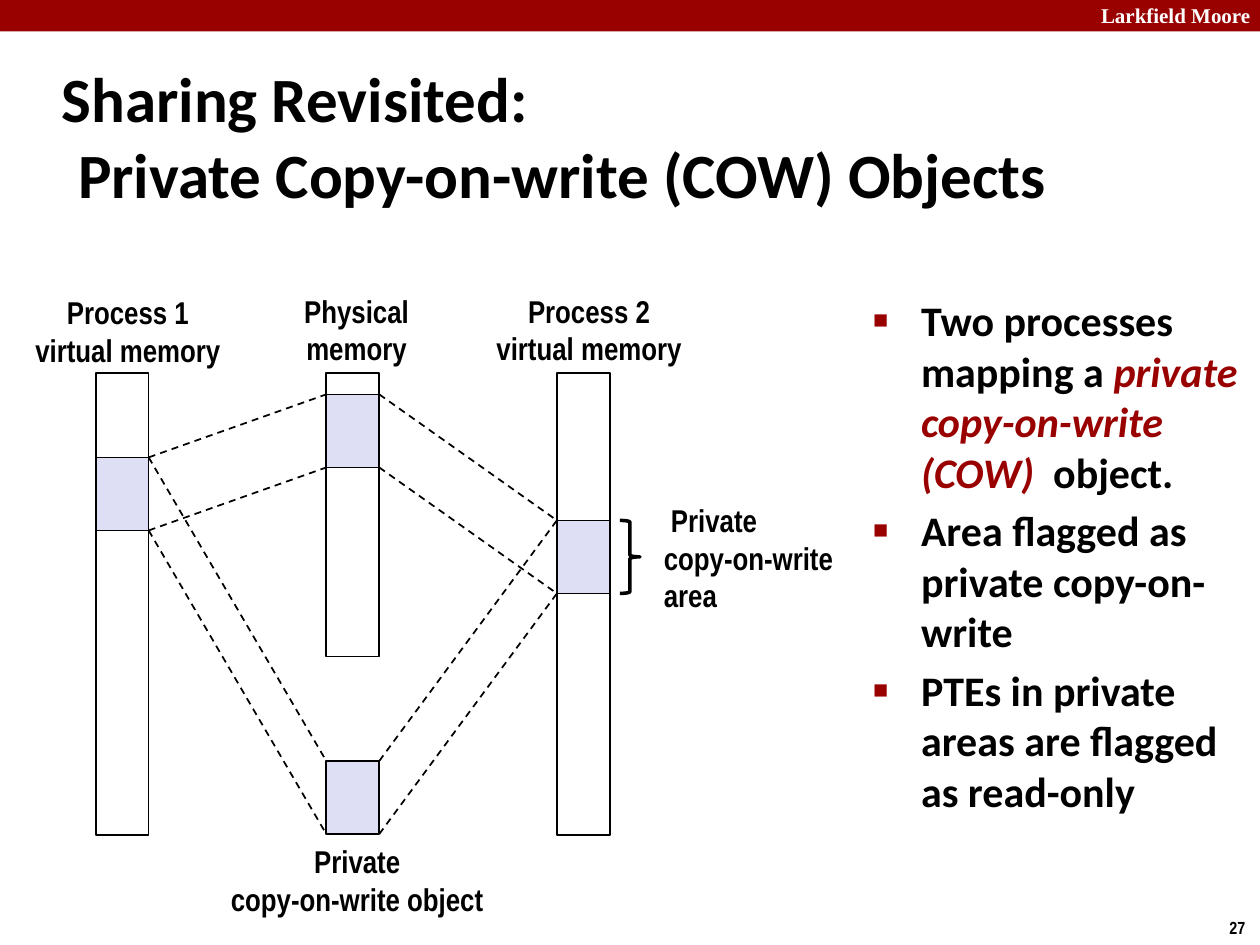
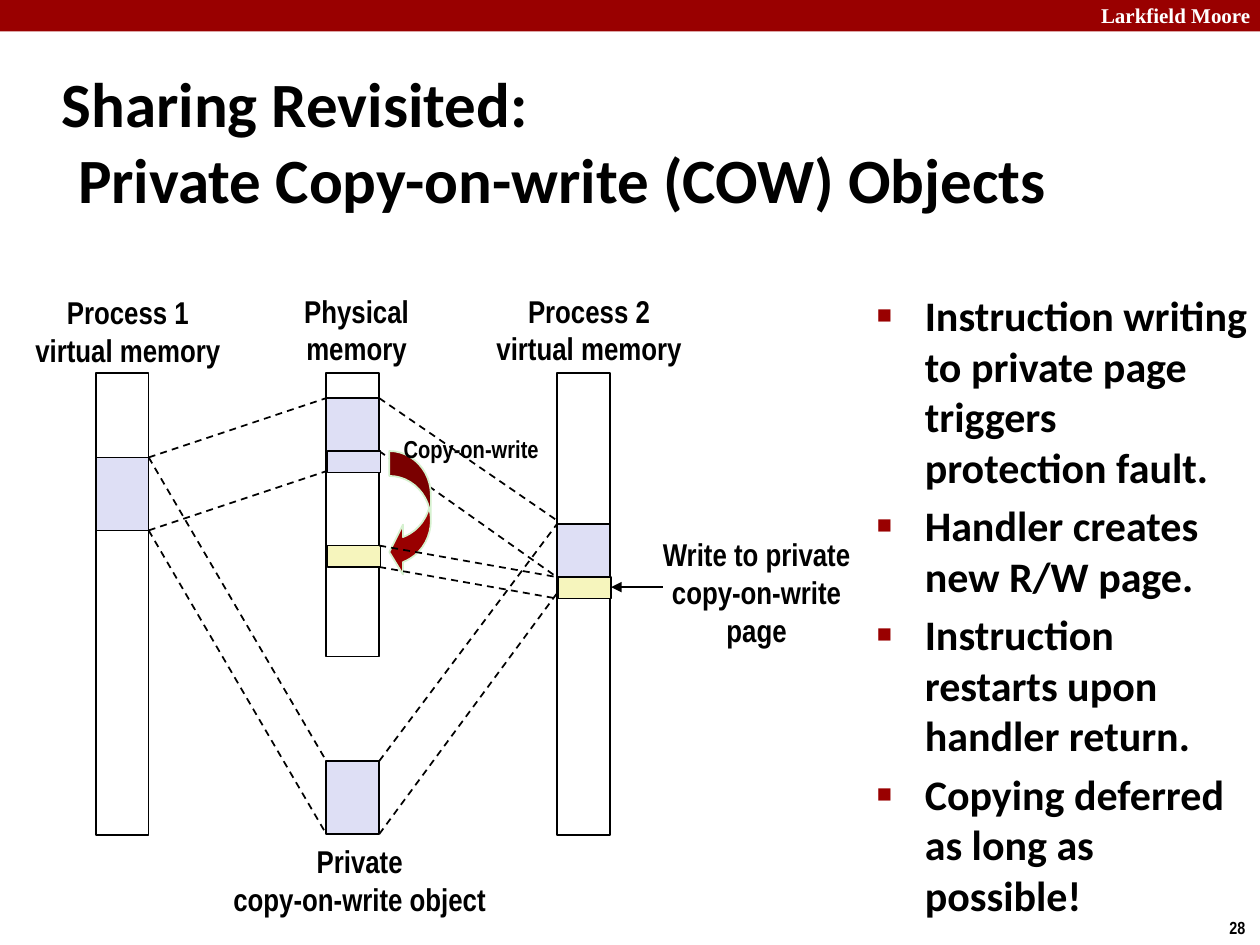
from dataclasses import dataclass

from lxml import etree
from pptx import Presentation
from pptx.dml.color import RGBColor
from pptx.enum.dml import MSO_LINE
from pptx.enum.shapes import MSO_CONNECTOR, MSO_SHAPE
from pptx.enum.text import MSO_ANCHOR, MSO_AUTO_SIZE, PP_ALIGN
from pptx.oxml.ns import qn
from pptx.util import Inches, Pt

RECTANGLE = MSO_SHAPE.RECTANGLE
BRACE = MSO_SHAPE.RIGHT_BRACE
CURVED_ARROW = MSO_SHAPE.CURVED_LEFT_ARROW
STRAIGHT = MSO_CONNECTOR.STRAIGHT
DASH = MSO_LINE.DASH
MIDDLE, TOP = MSO_ANCHOR.MIDDLE, MSO_ANCHOR.TOP
LEFT, CENTER = PP_ALIGN.LEFT, PP_ALIGN.CENTER
NO_FIT = MSO_AUTO_SIZE.NONE


@dataclass(frozen=True)
class Theme:
    red: str = "990000"
    black: str = "000000"
    white: str = "FFFFFF"
    lavender: str = "DEDFF5"
    yellow: str = "F6F5BD"
    pale_green: str = "D5F1CF"
    main_font: str = "Calibri"
    label_font: str = "Arial Narrow"
    band_font: str = "Times New Roman"
    title_size: int = 36
    body_size: int = 24
    label_size: int = 18
    note_size: int = 14
    band_size: int = 12
    number_size: int = 10


THEME = Theme()

TITLE = "Sharing Revisited: \vPrivate Copy-on-write (COW) Objects"
BAND_NAME = "Larkfield Moore"

# Memory columns: equal pitch, one common top
COLUMN_WIDTH = 0.42
PROCESS_1, PHYSICAL, PROCESS_2 = (0.76 + 1.83 * step for step in range(3))
COLUMN_TOP = 2.96
PROCESS_HEIGHT, PHYSICAL_HEIGHT = 3.67, 2.25

# Vertical extents (top, bottom) of the mapped areas
AREA_HEIGHT = 0.58
PROCESS_1_AREA = (3.63, 3.63 + AREA_HEIGHT)
OBJECT_AREA = (6.04, 6.04 + AREA_HEIGHT)


# Basic elements
def place(shape, left, top, width, height):
    shape.left, shape.top = Inches(left), Inches(top)
    shape.width, shape.height = Inches(width), Inches(height)


def style_font(font, name, size, color):
    font.name, font.size, font.bold = name, Pt(size), True
    font.color.rgb = RGBColor.from_string(color)


def add_figure(page, kind, left, top, width, height, fill=None,
               line=THEME.black, weight=1):
    figure = page.shapes.add_shape(kind, Inches(left), Inches(top),
                                   Inches(width), Inches(height))
    figure.shadow.inherit = False
    if fill:
        figure.fill.solid()
        figure.fill.fore_color.rgb = RGBColor.from_string(fill)
    else:
        figure.fill.background()
    if line:
        figure.line.color.rgb = RGBColor.from_string(line)
        figure.line.width = Pt(weight)
    else:
        figure.line.fill.background()
    return figure


def add_line(page, start, end, dashed=True, arrow=False):
    line = page.shapes.add_connector(STRAIGHT, *map(Inches, start + end))
    line.line.color.rgb = RGBColor.from_string(THEME.black)
    line.line.width = Pt(1)
    if dashed:
        line.line.dash_style = DASH
    if arrow:
        outline = line.line._get_or_add_ln()
        etree.SubElement(outline, qn("a:tailEnd"), type="triangle")
    etree.SubElement(line._element.spPr, qn("a:effectLst"))


def add_label(page, lines, left, top, width, height, size=THEME.label_size,
              font=THEME.label_font, color=THEME.black, align=CENTER,
              anchor=MIDDLE, wrap=False):
    box = page.shapes.add_textbox(Inches(left), Inches(top),
                                  Inches(width), Inches(height))
    frame = box.text_frame
    frame.word_wrap = wrap
    frame.vertical_anchor = anchor
    frame.text = "\n".join(lines)
    for para in frame.paragraphs:
        para.alignment = align
        style_font(para.font, font, size, color)


# Title, bulleted list and band
def set_indent(para, inches):
    properties = para._p.get_or_add_pPr()
    properties.set("marL", str(Inches(inches)))
    properties.set("indent", str(-Inches(inches)))
    return properties


def set_bullet(para):
    properties = set_indent(para, 0.38)
    color = etree.SubElement(properties, qn("a:buClr"))
    etree.SubElement(color, qn("a:srgbClr"), val=THEME.red)
    etree.SubElement(properties, qn("a:buSzPct"), val="60000")
    etree.SubElement(properties, qn("a:buFont"), typeface="Arial")
    etree.SubElement(properties, qn("a:buChar"), char="■")


def fill_title(page, height):
    title = page.shapes.title
    place(title, 0.39, 0.48, 8.3, height)
    frame = title.text_frame
    frame.auto_size, frame.vertical_anchor = NO_FIT, MIDDLE
    frame.text = TITLE
    para = frame.paragraphs[0]
    para.alignment = LEFT
    set_indent(para, 0.13)
    style_font(para.font, THEME.main_font, THEME.title_size, THEME.black)


def fill_list(page, items, position):
    """Each item is a list of (text, emphasized) spans."""
    body = page.placeholders[1]
    place(body, *position)
    frame = body.text_frame
    frame.auto_size, frame.vertical_anchor = NO_FIT, TOP
    for index, item in enumerate(items):
        para = frame.add_paragraph() if index else frame.paragraphs[0]
        set_bullet(para)
        style_font(para.font, THEME.main_font, THEME.body_size, THEME.black)
        for text, emphasized in item:
            span = para.add_run()
            span.text = text
            if emphasized:
                span.font.italic = True
                span.font.color.rgb = RGBColor.from_string(THEME.red)


def add_page(deck, number, title_height):
    page = deck.slides.add_slide(deck.slide_layouts[1])
    fill_title(page, title_height)
    add_figure(page, RECTANGLE, 0, 0, 10, 0.25, THEME.red, line=None)
    add_label(page, [BAND_NAME], 8.64, -0.03, 1.43, 0.3, THEME.band_size,
              THEME.band_font, THEME.white, LEFT, TOP, wrap=True)
    add_label(page, [str(number)], 9.66, 7.23, 0.34, 0.27,
              THEME.number_size, align=LEFT, anchor=TOP)
    return page


# Memory diagram
def add_area(page, column, extent, fill=THEME.lavender):
    top, bottom = extent
    add_figure(page, RECTANGLE, column, top, COLUMN_WIDTH, bottom - top, fill)


def link_areas(page, left_column, left_extent, right_column, right_extent):
    """Join tops and bottoms of two areas in different columns."""
    for left_y, right_y in zip(left_extent, right_extent):
        add_line(page, (left_column + COLUMN_WIDTH, left_y),
                 (right_column, right_y))


def draw_memory(page, physical_area, process_2_area, object_label_left):
    for column, height in ((PROCESS_1, PROCESS_HEIGHT),
                           (PHYSICAL, PHYSICAL_HEIGHT),
                           (PROCESS_2, PROCESS_HEIGHT)):
        add_area(page, column, (COLUMN_TOP, COLUMN_TOP + height), fill=None)
    add_area(page, PHYSICAL, OBJECT_AREA)
    add_area(page, PHYSICAL, physical_area)
    add_area(page, PROCESS_1, PROCESS_1_AREA)
    add_area(page, PROCESS_2, process_2_area)
    link_areas(page, PROCESS_1, PROCESS_1_AREA, PHYSICAL, OBJECT_AREA)
    link_areas(page, PROCESS_1, PROCESS_1_AREA, PHYSICAL, physical_area)
    link_areas(page, PHYSICAL, OBJECT_AREA, PROCESS_2, (process_2_area[0], 4.71))

    for lines, left, top, width in (
        (["Process 1", "virtual memory"], 0.17, 2.27, 1.69),
        (["Physical", "memory"], 2.31, 2.26, 1.04),
        (["Process 2", "virtual memory"], 3.83, 2.26, 1.69),
        (["Private", "copy-on-write object"], object_label_left, 6.63, 2.23),
    ):
        add_label(page, lines, left, top, width, 0.71)


# Slides
def build_mapping_page(deck):
    page = add_page(deck, 27, 1.19)
    fill_list(page, [
        [("Two processes mapping a ", False),
         ("private copy-on-write (COW)  ", True), ("object. ", False)],
        [("Area flagged as private copy-on-write", False)],
        [("PTEs in private areas are flagged as read-only", False)],
    ], (6.83, 2.29, 3.17, 4.58))

    physical_area = (3.13, 3.13 + AREA_HEIGHT)
    process_2_area = (4.13, 4.13 + AREA_HEIGHT)
    draw_memory(page, physical_area, process_2_area, 1.72)
    link_areas(page, PHYSICAL, physical_area, PROCESS_2, process_2_area)
    add_label(page, [" Private", "copy-on-write", "area"],
              5.17, 3.92, 1.58, 1.01, align=LEFT)
    add_figure(page, BRACE, 4.92, 4.13, 0.16, AREA_HEIGHT, weight=2)


def build_write_page(deck):
    page = add_page(deck, 28, 1.27)
    fill_list(page, [
        [("Instruction writing to private page triggers protection fault. ",
          False)],
        [("Handler creates new R/W page. ", False)],
        [("Instruction restarts upon handler return. ", False)],
        [("Copying deferred as long as possible!", False)],
    ], (6.86, 2.25, 3.14, 4.93))

    draw_memory(page, (3.16, 3.16 + AREA_HEIGHT), (4.16, 4.16 + AREA_HEIGHT),
                1.74)
    link_areas(page, PHYSICAL, (3.16, 3.58), PROCESS_2, (4.13, 4.58))

    # Copy of the written page
    arrow = add_figure(page, CURVED_ARROW, 3.09, 3.58, 0.33, 1,
                       THEME.red, THEME.pale_green)
    for index, value in enumerate((0.6, 1.2, 0.333)):
        arrow.adjustments[index] = round(value, 2)
    add_label(page, ["Copy-on-write"], 3.1, 3.39, 1.28, 0.34, THEME.note_size)

    source_page, new_page, written_page = (
        (top, top + 0.17) for top in (3.58, 4.33, 4.58))
    add_area(page, PHYSICAL + 0.01, source_page)
    add_area(page, PROCESS_2 + 0.01, written_page, THEME.yellow)
    add_area(page, PHYSICAL + 0.01, new_page, THEME.yellow)
    link_areas(page, PHYSICAL, new_page, PROCESS_2, written_page)

    add_label(page, ["Write to private", "copy-on-write", "page"],
              5.15, 4.19, 1.71, 1.01)
    add_line(page, (5.26, 4.66), (4.85, 4.66), dashed=False, arrow=True)


def main():
    deck = Presentation()
    deck.slide_width, deck.slide_height = Inches(10), Inches(7.5)
    build_mapping_page(deck)
    build_write_page(deck)
    deck.save("out.pptx")


main()
